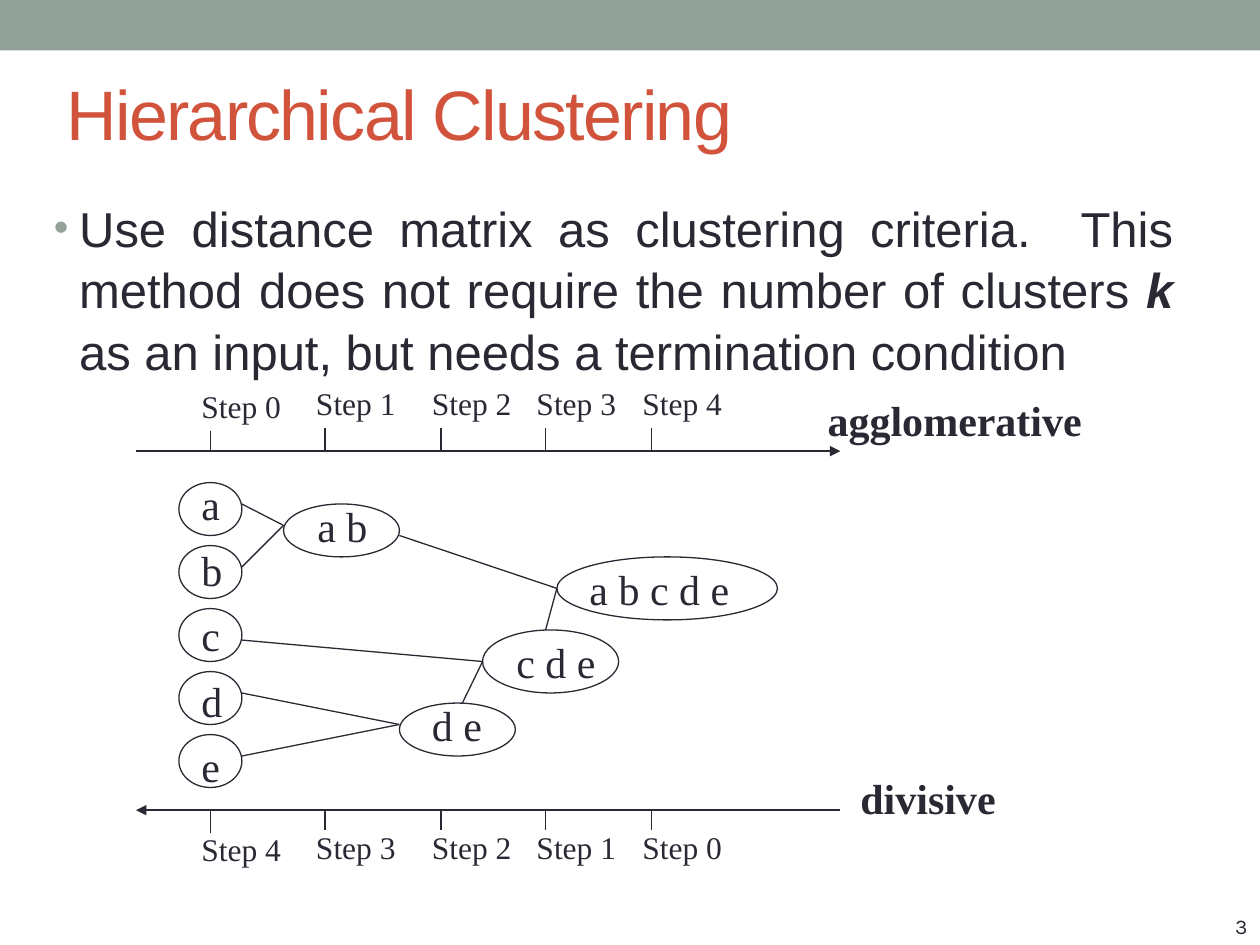
from dataclasses import dataclass
from lxml import etree
from pptx import Presentation
from pptx.dml.color import RGBColor
from pptx.enum.shapes import MSO_CONNECTOR, MSO_SHAPE
from pptx.enum.text import MSO_ANCHOR, PP_ALIGN
from pptx.oxml.ns import qn
from pptx.slide import Slide
from pptx.util import Inches, Pt

INK = RGBColor(0x29, 0x29, 0x34)
SAGE = RGBColor(0x93, 0xA2, 0x99)
RUST = RGBColor(0xD2, 0x53, 0x3C)
RECTANGLE, ELLIPSE = MSO_SHAPE.RECTANGLE, MSO_SHAPE.OVAL
STRAIGHT = MSO_CONNECTOR.STRAIGHT
TOP, MIDDLE, BOTTOM = MSO_ANCHOR.TOP, MSO_ANCHOR.MIDDLE, MSO_ANCHOR.BOTTOM
LEFT, RIGHT, JUSTIFY = PP_ALIGN.LEFT, PP_ALIGN.RIGHT, PP_ALIGN.JUSTIFY


@dataclass
class SlideBuilder:
    slide: Slide
    serif: str = "Times New Roman"
    sans: str = "Arial"
    thin: float = 0.75

    def shape(self, kind, left, top, width, height, fill=None):
        shape = self.slide.shapes.add_shape(
            kind, Inches(left), Inches(top), Inches(width), Inches(height))
        shape.shadow.inherit = False
        if fill is None:
            shape.fill.background()
            shape.line.color.rgb = INK
            shape.line.width = Pt(self.thin)
        else:
            shape.fill.solid()
            shape.fill.fore_color.rgb = fill
            shape.line.fill.background()

    def line(self, start, end, width=None, arrow=None):
        connector = self.slide.shapes.add_connector(
            STRAIGHT, *(Inches(value) for value in (*start, *end)))
        connector.line.color.rgb = INK
        connector.line.width = Pt(width or self.thin)
        if arrow:
            outline = connector.line._get_or_add_ln()
            etree.SubElement(outline, qn(f"a:{arrow}"), type="triangle")
        etree.SubElement(connector._element.spPr, qn("a:effectLst"))

    def text(self, left, top, width, height, wrap=True, anchor=TOP, align=LEFT):
        box = self.slide.shapes.add_textbox(
            Inches(left), Inches(top), Inches(width), Inches(height))
        box.text_frame.word_wrap = wrap
        box.text_frame.vertical_anchor = anchor
        paragraph = box.text_frame.paragraphs[0]
        paragraph.alignment = align
        return paragraph

    def run(self, paragraph, text, size, font=None, color=INK, bold=False, italic=False):
        run = paragraph.add_run()
        run.text = text
        run.font.name = font or self.serif
        run.font.size = Pt(size)
        run.font.color.rgb = color
        run.font.bold = bold
        run.font.italic = italic
        return run

    def label(self, text, left, top, width, size=24, bold=False):
        paragraph = self.text(left, top, width, 0.5, wrap=False)
        self.run(paragraph, text, size, bold=bold)

    def title(self, text):
        paragraph = self.text(0.43, 0.54, 7.98, 0.71, anchor=MIDDLE)
        run = self.run(paragraph, text, 40, self.sans, RUST)
        run.font._element.set("spc", "-100")

    def bullet(self, runs):
        paragraph = self.text(0.33, 1.5, 9.08, 1.42, align=JUSTIFY)
        paragraph.line_spacing = 1.05
        properties = paragraph._p.get_or_add_pPr()
        properties.set("marL", str(Inches(0.2)))
        properties.set("indent", str(Inches(-0.2)))
        color = etree.SubElement(properties, qn("a:buClr"))
        etree.SubElement(color, qn("a:srgbClr"), val=str(SAGE))
        etree.SubElement(properties, qn("a:buSzPct"), val="85000")
        etree.SubElement(properties, qn("a:buFont"), typeface=self.sans)
        etree.SubElement(properties, qn("a:buChar"), char="•")
        for text, emphasis in runs:
            self.run(paragraph, text, 28, self.sans, bold=emphasis, italic=emphasis)

    def axis(self, top, arrow, tick_top, label_top, steps):
        self.line((1.08, top), (6.67, top), 1.5, arrow)
        for index, (x, step) in enumerate(zip(STEP_POSITIONS, steps)):
            drop = 0.02 if index == 0 else 0
            start = tick_top + drop
            self.line((x, start), (x, start + 0.17))
            paragraph = self.text(x - 0.17, label_top + drop, 0.83, 0.4)
            self.run(paragraph, f"Step {step}", 18)


STEP_POSITIONS = (1.67, 2.58, 3.5, 4.33, 5.17)
CLUSTERS = (
    ("a b", (2.42, 3.92, 0.6), (2.25, 4, 0.92, 0.42)),
    ("d e", (3.33, 5.5, 0.6), (3.17, 5.58, 0.92, 0.42)),
    ("c d e", (4, 5, 0.83), (3.83, 5, 1.08, 0.5)),
    ("a b c d e", (4.58, 4.42, 1.31), (4.42, 4.42, 1.75, 0.5)),
)
LINKS = (
    ((1.92, 4), (2.25, 4.17)),
    ((1.92, 4.5), (2.25, 4.17)),
    ((1.92, 5.5), (3.17, 5.75)),
    ((1.92, 6), (3.17, 5.75)),
    ((1.92, 5.08), (3.83, 5.25)),
    ((3.67, 5.58), (3.83, 5.25)),
    ((3.17, 4.25), (4.42, 4.67)),
    ((4.33, 5), (4.42, 4.67)),
)


def main():
    presentation = Presentation()
    presentation.slide_width = Inches(10)
    presentation.slide_height = Inches(7.5)
    builder = SlideBuilder(presentation.slides.add_slide(presentation.slide_layouts[6]))

    builder.shape(RECTANGLE, 0, 0, 10, 0.4, SAGE)
    builder.title("Hierarchical Clustering")
    builder.bullet((
        ("Use distance matrix as clustering criteria.  This method does not "
         "require the number of clusters ", False),
        ("k", True),
        (" as an input, but needs a termination condition", False),
    ))

    builder.axis(3.58, "tailEnd", 3.4, 3, range(5))
    for index, item in enumerate("abcde"):
        builder.label(item, 1.5, 3.75 + 0.52 * index, 0.37 if item in "bd" else 0.35)
        builder.shape(ELLIPSE, 1.42, 3.83 + 0.5 * index, 0.5, 0.42)
    for members, label_place, outline in CLUSTERS:
        builder.label(members, *label_place)
        builder.shape(ELLIPSE, *outline)
    builder.axis(6.43, "headEnd", 6.42, 6.52, reversed(range(5)))
    for start, end in LINKS:
        builder.line(start, end)

    builder.label("agglomerative", 6.47, 3.08, 2.24, bold=True)
    builder.label("divisive", 6.73, 6.08, 1.28, bold=True)
    number = builder.text(7.92, 7.08, 2.08, 0.42, anchor=BOTTOM, align=RIGHT)
    builder.run(number, "3", 12, "Karla")

    presentation.save("out.pptx")


if __name__ == "__main__":
    main()
